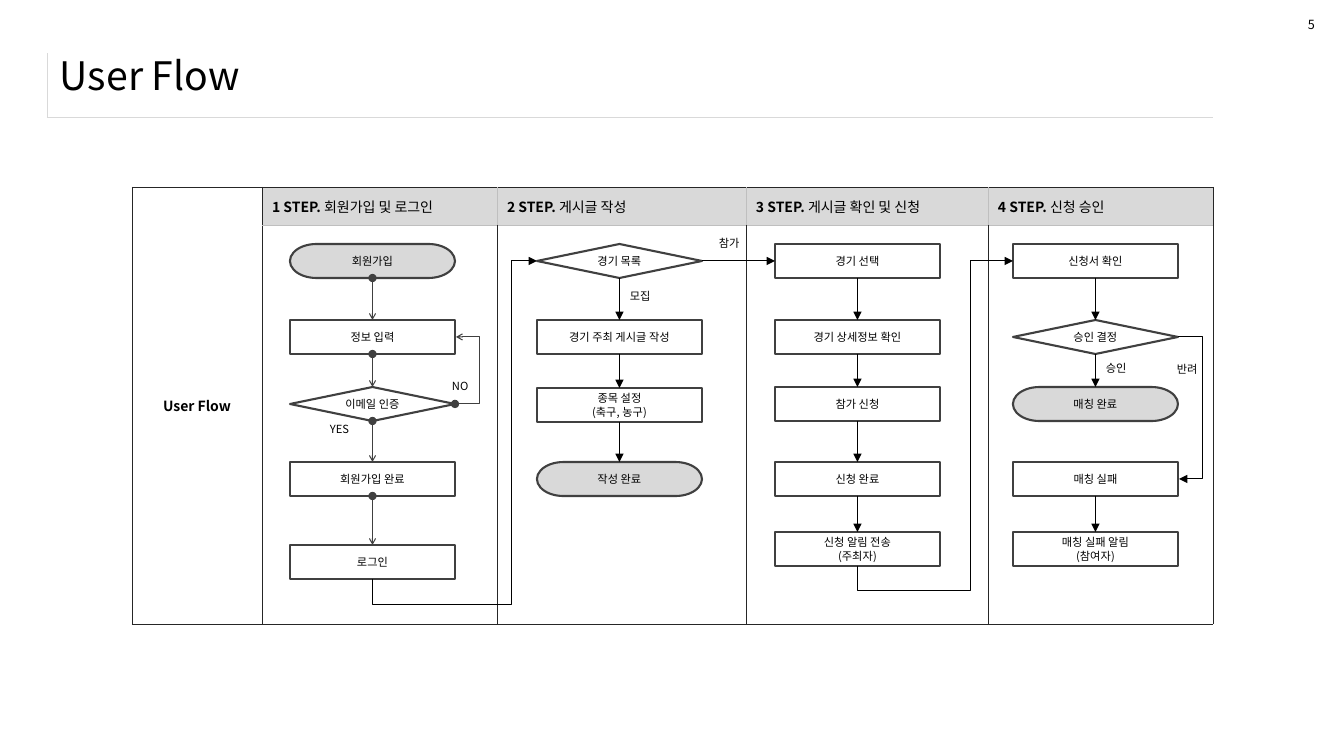
import pptx
import pptx.dml.color
import pptx.enum.shapes
import pptx.enum.text
import pptx.oxml.ns
import pptx.util
from lxml import etree

RGBColor = pptx.dml.color.RGBColor
Shapes = pptx.enum.shapes.MSO_SHAPE
Connectors = pptx.enum.shapes.MSO_CONNECTOR
Align = pptx.enum.text.PP_ALIGN
MIDDLE = pptx.enum.text.MSO_ANCHOR.MIDDLE
Pt = pptx.util.Pt
qn = pptx.oxml.ns.qn

BLACK = RGBColor(0x00, 0x00, 0x00)
WHITE = RGBColor(0xFF, 0xFF, 0xFF)
DARK = RGBColor(0x26, 0x26, 0x26)
OUTLINE = RGBColor(0x40, 0x40, 0x40)
GRAY = RGBColor(0xBF, 0xBF, 0xBF)
LIGHT = RGBColor(0xD9, 0xD9, 0xD9)
FONT = "Noto Sans CJK KR"
EMU_PER_PX = 914400 / 100.8
TOP, LEFT, BOTTOM, RIGHT = range(4)

SLIDE_SIZE = (1344, 756)
TITLE = ("User Flow", 50, 41, 1259, 68, 28)
TITLE_TABLE = ((47, 54), [1165], [63])
STEP_TABLE = ((132, 187), [130, 235, 249, 242, 225], [38, 399])
STEPS = ["회원가입 및 로그인", "게시글 작성", "게시글 확인 및 신청", "신청 승인"]
NODE_SIZE = (165, 34)
KINDS = {
    "process": (Shapes.FLOWCHART_PROCESS, WHITE),
    "decision": (Shapes.FLOWCHART_DECISION, WHITE),
    "terminator": (Shapes.FLOWCHART_TERMINATOR, LIGHT),
}
# left edge of the column, then (top, kind, lines of text) of each node
FLOW_COLUMNS = [
    (290, [(244, "terminator", ["회원가입"]), (320, "process", ["정보 입력"]),
           (387, "decision", ["이메일 인증"]), (462, "process", ["회원가입 완료"]),
           (545, "process", ["로그인"])]),
    (537, [(244, "decision", ["경기 목록"]), (320, "process", ["경기 주최 게시글 작성"]),
           (388, "process", ["종목 설정", "(축구, 농구)"]), (462, "terminator", ["작성 완료"])]),
    (775, [(244, "process", ["경기 선택"]), (320, "process", ["경기 상세정보 확인"]),
           (387, "process", ["참가 신청"]), (462, "process", ["신청 완료"]),
           (532, "process", ["신청 알림 전송", "(주최자)"])]),
    (1013, [(244, "process", ["신청서 확인"]), (320, "decision", ["승인 결정"]),
            (387, "terminator", ["매칭 완료"]), (462, "process", ["매칭 실패"]),
            (532, "process", ["매칭 실패 알림", "(참여자)"])]),
]
UNLINKED = ("매칭 완료", "매칭 실패")
DOTTED = (OUTLINE, {"headEnd": {"type": "oval"},
                    "tailEnd": {"type": "arrow", "w": "sm", "len": "sm"}})
SOLID = (BLACK, {"tailEnd": {"type": "triangle"}})
SIDE_LOOPS = [("이메일 인증", "정보 입력", DOTTED), ("승인 결정", "매칭 실패", SOLID)]
# from, to, x of the upward lane
STEP_LINKS = [("로그인", "경기 목록", 511), ("신청 알림 전송", "신청서 확인", 971)]
DETOUR = 25
LABELS = [
    ("YES", 320, 417, 57, 30, 8), ("NO", 442, 374, 56, 30, 8),
    ("모집", 620, 284, 43, 24, 8), ("참가", 709, 231, 43, 24, 8),
    ("승인", 1096, 356, 43, 24, 8), ("반려", 1167, 357, 43, 24, 8),
    ("5", 1298, 12, 27, 25, 9),
]


def emu(*lengths):
    return [round(length * EMU_PER_PX) for length in lengths]


def set_attributes(target, values):
    for name, value in values.items():
        setattr(target, name, value)


def add_run(paragraph, text, size, bold=False):
    run = paragraph.add_run()
    run.text = text
    set_attributes(run.font, {"name": FONT, "size": Pt(size), "bold": bold})
    run.font.color.rgb = BLACK
    etree.SubElement(run.font._element, qn("a:ea"), typeface=FONT)


def add_label(slide, text, left, top, width, height, size, frame_format):
    frame = slide.shapes.add_textbox(*emu(left, top, width, height)).text_frame
    set_attributes(frame, frame_format)
    add_run(frame.paragraphs[0], text, size)


def add_plain_table(slide, corner, widths, heights):
    table = slide.shapes.add_table(
        len(heights), len(widths), *emu(*corner, sum(widths), sum(heights))).table
    set_attributes(table, {"first_row": False, "horz_banding": False})
    for column, width in zip(table.columns, emu(*widths)):
        column.width = width
    for row, height in zip(table.rows, emu(*heights)):
        row.height = height
    return table


def format_cell(cell, borders, fill=None):
    properties = cell._tc.get_or_add_tcPr()
    for side, color in borders.items():
        line = etree.SubElement(properties, qn("a:ln" + side), w=str(Pt(0.25)))
        line_fill = etree.SubElement(line, qn("a:solidFill"))
        etree.SubElement(line_fill, qn("a:srgbClr"), val=str(color))
    cell.vertical_anchor = MIDDLE
    if fill is None:
        cell.fill.background()
    else:
        cell.fill.solid()
        cell.fill.fore_color.rgb = fill


def add_step_table(slide):
    table = add_plain_table(slide, *STEP_TABLE)
    for column in range(len(STEPS) + 1):
        header, body = table.cell(0, column), table.cell(1, column)
        format_cell(body, {"L": DARK, "R": DARK, "T": GRAY if column else DARK, "B": DARK})
        if column == 0:
            format_cell(header, dict.fromkeys("LRTB", DARK))
            header.merge(body)
            header.text_frame.paragraphs[0].alignment = Align.CENTER
            add_run(header.text_frame.paragraphs[0], "User Flow", 10, bold=True)
            continue
        format_cell(header, {"L": GRAY if column > 1 else DARK,
                             "R": GRAY if column < len(STEPS) else DARK,
                             "T": DARK, "B": GRAY}, LIGHT)
        add_run(header.text_frame.paragraphs[0], f"{column} STEP. ", 10, bold=True)
        add_run(header.text_frame.paragraphs[0], STEPS[column - 1], 10)


def add_node(slide, left, top, kind, lines):
    preset, color = KINDS[kind]
    shape = slide.shapes.add_shape(preset, *emu(left, top, *NODE_SIZE))
    shape.shadow.inherit = False
    shape.fill.solid()
    shape.fill.fore_color.rgb = color
    shape.line.color.rgb = OUTLINE
    shape.line.width = Pt(1.5)
    frame = shape.text_frame
    set_attributes(frame, {"word_wrap": True, "vertical_anchor": MIDDLE})
    for index, line in enumerate(lines):
        paragraph = frame.add_paragraph() if index else frame.paragraphs[0]
        paragraph.alignment = Align.CENTER
        add_run(paragraph, line, 8)
    return shape


def link(slide, start, start_side, end, end_side, style, kind=Connectors.STRAIGHT):
    color, arrowheads = style
    connector = slide.shapes.add_connector(kind, 0, 0, 0, 0)
    connector.line.color.rgb = color
    connector.line.width = Pt(0.75)
    for tag, values in arrowheads.items():
        etree.SubElement(connector.line._get_or_add_ln(), qn("a:" + tag), values)
    etree.SubElement(connector._element.spPr, qn("a:effectLst"))
    connector.begin_connect(start, start_side)
    connector.end_connect(end, end_side)
    return connector


def set_bends(connector, preset, ratios):
    geometry = connector._element.spPr.find(qn("a:prstGeom"))
    geometry.set("prst", preset)
    for number, ratio in enumerate(ratios, 1):
        etree.SubElement(geometry.find(qn("a:avLst")), qn("a:gd"), name=f"adj{number}",
                         fmla=f"val {round(ratio * 100000)}")


def link_next_step(slide, start, end, lane):
    """Go down out of start, up the lane and into the left side of end."""
    connector = link(slide, start, BOTTOM, end, LEFT, SOLID, Connectors.ELBOW)
    x, y = connector.begin_x, connector.begin_y
    across, rise = connector.end_x - x, y - connector.end_y
    set_attributes(connector, {"left": x + (across - rise) // 2, "width": rise,
                               "top": y - (rise + across) // 2, "height": across})
    transform = connector._element.spPr.find(qn("a:xfrm"))
    for name, value in {"rot": "5400000", "flipH": "1", "flipV": "1"}.items():
        transform.set(name, value)
    detour, lane_x = emu(DETOUR, lane)
    set_bends(connector, "bentConnector4", [-detour / rise, (lane_x - x) / across])


presentation = pptx.Presentation()
slide_width, slide_height = emu(*SLIDE_SIZE)
set_attributes(presentation, {"slide_width": slide_width, "slide_height": slide_height})
slide = presentation.slides.add_slide(presentation.slide_layouts[6])
title_table = add_plain_table(slide, *TITLE_TABLE)
format_cell(title_table.cell(0, 0), {"L": LIGHT, "B": LIGHT})
add_label(slide, *TITLE, {"word_wrap": True, "vertical_anchor": MIDDLE})
add_step_table(slide)

nodes = {}
for column_index, (left, column) in enumerate(FLOW_COLUMNS):
    for top, kind, lines in column:
        nodes[lines[0]] = add_node(slide, left, top, kind, lines)
    names = [lines[0] for top, kind, lines in column]
    for pair in zip(names, names[1:]):
        if pair != UNLINKED:
            link(slide, nodes[pair[0]], BOTTOM, nodes[pair[1]], TOP,
                 SOLID if column_index else DOTTED)
link(slide, nodes["경기 목록"], RIGHT, nodes["경기 선택"], LEFT, SOLID)
for start, end, style in SIDE_LOOPS:
    loop = link(slide, nodes[start], RIGHT, nodes[end], RIGHT, style, Connectors.ELBOW)
    loop.end_x = loop.begin_x + emu(1)[0]
    set_bends(loop, "bentConnector3", [DETOUR])
for start, end, lane in STEP_LINKS:
    link_next_step(slide, nodes[start], nodes[end], lane)
fit_text = pptx.enum.text.MSO_AUTO_SIZE.SHAPE_TO_FIT_TEXT
for label in LABELS:
    add_label(slide, *label, {"word_wrap": False, "auto_size": fit_text})
presentation.save("out.pptx")
